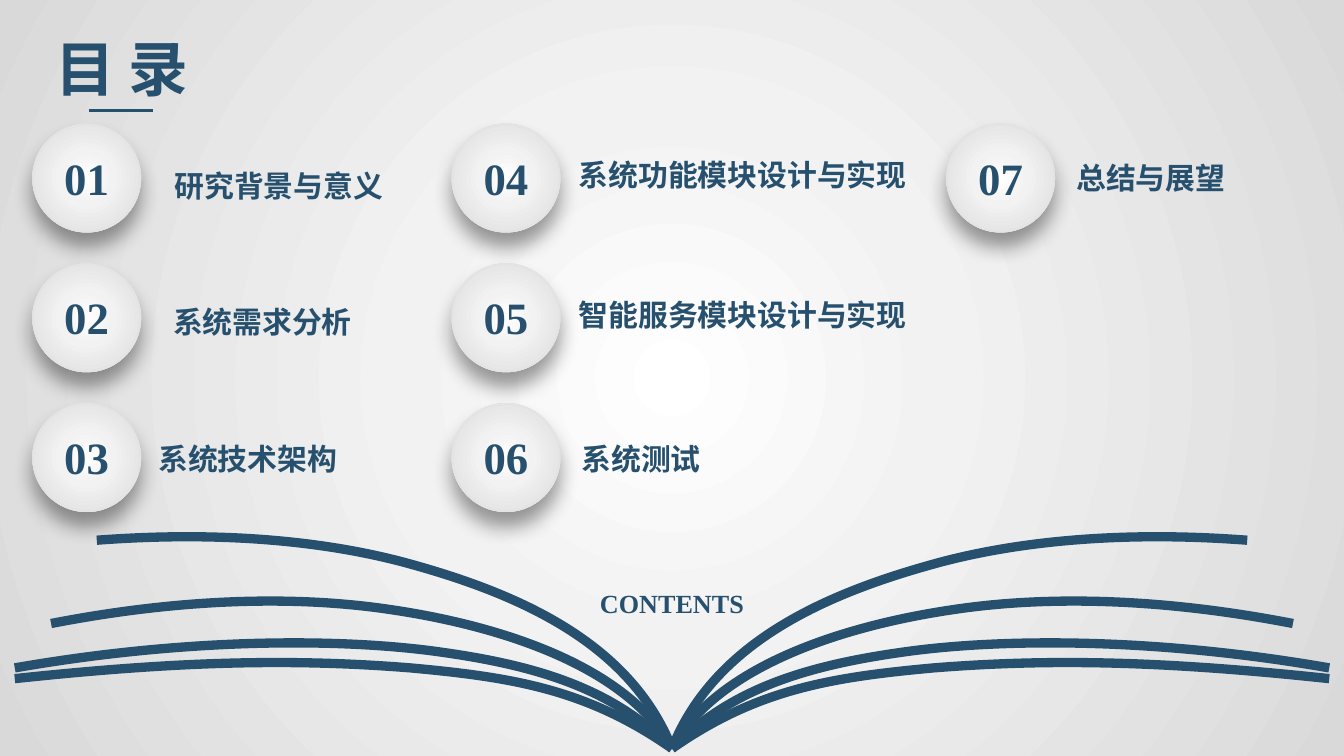
"""Build a contents slide with seven numbered discs above an open book."""
from dataclasses import dataclass

from lxml import etree
from pptx import Presentation
from pptx.dml.color import RGBColor
from pptx.enum.shapes import MSO_CONNECTOR, MSO_SHAPE
from pptx.enum.text import MSO_AUTO_SIZE, PP_ALIGN
from pptx.oxml.ns import qn
from pptx.util import Inches, Pt

ELLIPSE = MSO_SHAPE.OVAL
STRAIGHT = MSO_CONNECTOR.STRAIGHT
LEFT, CENTER = PP_ALIGN.LEFT, PP_ALIGN.CENTER
GROW = MSO_AUTO_SIZE.SHAPE_TO_FIT_TEXT

NAVY = RGBColor(0x27, 0x50, 0x6E)
BLACK = RGBColor(0x00, 0x00, 0x00)
GLOW = (
    (0, RGBColor(0xFF, 0xFF, 0xFF)),
    (35, RGBColor(0xF2, 0xF2, 0xF2)),
    (100, RGBColor(0xD9, 0xD9, 0xD9)),
)
HAN, ROMAN = "Noto Sans CJK SC", "Times New Roman"

SLIDE_WIDTH = 10
COLUMNS = (0.24, 3.36, 7.04)
FIRST_ROW, ROW_STEP = 0.92, 1.04
DISC = 0.81
TITLE_SIZE = 16


@dataclass(frozen=True)
class Entry:
    """A contents entry: its grid cell and its title's offset from the disc."""
    title: str
    column: int
    row: int
    dx: float
    dy: float


ENTRIES = (
    Entry("研究背景与意义", 0, 0, 0.96, 0.28),
    Entry("系统需求分析", 0, 1, 0.95, 0.25),
    Entry("系统技术架构", 0, 2, 0.84, 0.23),
    Entry("系统功能模块设计与实现", 1, 0, 0.85, 0.2),
    Entry("智能服务模块设计与实现", 1, 1, 0.85, 0.2),
    Entry("系统测试", 1, 2, 0.87, 0.23),
    Entry("总结与展望", 2, 0, 0.87, 0.22),
)

SPINE = (5, 5.57)
LEFT_PAGES = (
    ((4.55, 5.11), (3.96, 4.94), (3.19, 4.84), (2.47, 4.75), (1.37, 4.75), (0.11, 4.97)),
    ((4.37, 5.13), (3.82, 5.04), (3.05, 4.97), (2.17, 4.9), (1.33, 4.92), (0.11, 5.05)),
    ((4.67, 4.96), (3.73, 4.66), (2.93, 4.54), (2.22, 4.43), (1.36, 4.45), (0.38, 4.64)),
    ((4.68, 4.76), (3.81, 4.4), (2.99, 4.18), (2.3, 4), (1.51, 3.96), (0.72, 4.02)),
)


def add_color(parent, color: RGBColor):
    """Append a colour element to an XML parent and return it."""
    return etree.SubElement(parent, qn("a:srgbClr"), val=str(color))


def fill_radial(fill, owner) -> None:
    """Give a fill the grey glow that spreads from the centre."""
    fill.gradient()
    gradient = next(owner.iter(qn("a:gradFill")))
    for child in list(gradient):
        gradient.remove(child)
    stops = etree.SubElement(gradient, qn("a:gsLst"))
    for position, color in GLOW:
        add_color(etree.SubElement(stops, qn("a:gs"), pos=str(position * 1000)), color)
    circle = etree.SubElement(gradient, qn("a:path"), path="circle")
    etree.SubElement(circle, qn("a:fillToRect"), dict.fromkeys("ltrb", "50000"))


def add_label(slide, text: str, left: float, top: float, width: float, height: float,
              size: int, font: str, align=CENTER, wrap: bool = False) -> None:
    """Add a line of bold navy text."""
    box = slide.shapes.add_textbox(*map(Inches, (left, top, width, height)))
    frame = box.text_frame
    frame.text = text
    frame.word_wrap = wrap
    frame.auto_size = GROW
    paragraph = frame.paragraphs[0]
    paragraph.alignment = align
    run = paragraph.runs[0]
    run.font.size = Pt(size)
    run.font.bold = True
    run.font.name = font
    run.font.color.rgb = NAVY
    etree.SubElement(run.font._element, qn("a:ea"), typeface=font)


def add_disc(slide, left: float, top: float) -> None:
    """Add a glowing disc with a soft shadow below it."""
    disc = slide.shapes.add_shape(ELLIPSE, *map(Inches, (left, top, DISC, DISC)))
    disc.shadow.inherit = False
    fill_radial(disc.fill, disc._element)
    disc.line.fill.background()
    effects = disc._element.spPr.find(qn("a:effectLst"))
    shadow = etree.SubElement(effects, qn("a:outerShdw"), blurRad=str(Pt(11)),
                              dist=str(Pt(8)), dir="5400000", rotWithShape="0")
    etree.SubElement(add_color(shadow, BLACK), qn("a:alpha"), val="40000")


def add_entry(slide, number: int, entry: Entry) -> None:
    """Add a numbered disc and its title."""
    left = COLUMNS[entry.column]
    top = FIRST_ROW + entry.row * ROW_STEP
    add_disc(slide, left, top)
    add_label(slide, f"{number:02}", left + 0.14, top + 0.15, 0.53, 0.5, 24, ROMAN)
    width = len(entry.title) * TITLE_SIZE / 72 + 0.21
    add_label(slide, entry.title, left + entry.dx, top + entry.dy, width, 0.37,
              TITLE_SIZE, HAN, LEFT)


def add_page(slide, points) -> None:
    """Add a book page edge as two Bezier curves from the spine."""
    builder = slide.shapes.build_freeform(*map(Inches, SPINE))
    builder.add_line_segments([(Inches(x), Inches(y)) for x, y in points], close=False)
    page = builder.convert_to_shape()
    page.shadow.inherit = False
    page.fill.background()
    page.line.color.rgb = NAVY
    page.line.width = Pt(5)
    outline = next(page._element.iter(qn("a:path")))
    segments = outline.findall(qn("a:lnTo"))
    for start in range(0, len(segments), 3):
        curve = etree.SubElement(outline, qn("a:cubicBezTo"))
        for segment in segments[start:start + 3]:
            curve.append(segment[0])
            outline.remove(segment)


def add_underline(slide) -> None:
    """Add the short rule under the heading."""
    rule = slide.shapes.add_connector(STRAIGHT, *map(Inches, (0.66, 0.82, 1.14, 0.82)))
    rule.line.color.rgb = NAVY
    rule.line.width = Pt(1.5)
    etree.SubElement(rule._element.spPr, qn("a:effectLst"))


def main() -> None:
    """Build and save the slide."""
    deck = Presentation()
    deck.slide_width = Inches(SLIDE_WIDTH)
    deck.slide_height = deck.slide_width * 9 // 16
    slide = deck.slides.add_slide(deck.slide_layouts[6])
    fill_radial(slide.background.fill, slide._element)
    for points in LEFT_PAGES:
        add_page(slide, points)
        add_page(slide, [(SLIDE_WIDTH - x, y) for x, y in points])
    add_label(slide, "目 录", 0.24, 0.19, 1.33, 0.64, 32, HAN)
    add_underline(slide)
    add_label(slide, "CONTENTS", 3.71, 4.32, 2.58, 0.34, 14, ROMAN, wrap=True)
    for number, entry in enumerate(ENTRIES, 1):
        add_entry(slide, number, entry)
    deck.save("out.pptx")


if __name__ == "__main__":
    main()
